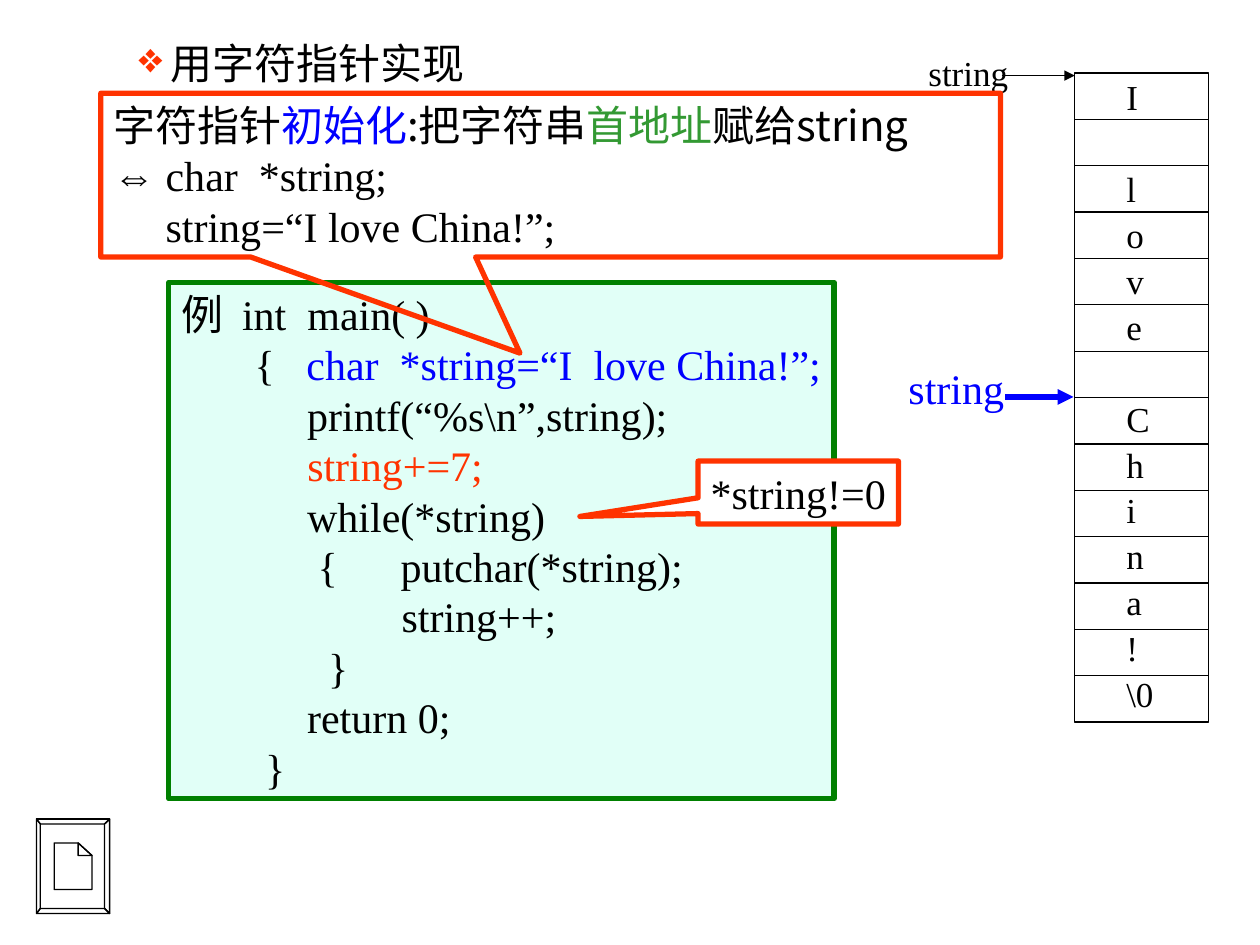
from pptx import Presentation
from pptx.dml.color import RGBColor
from pptx.enum.shapes import MSO_CONNECTOR as Connector, MSO_SHAPE as Shape
from pptx.enum.text import MSO_ANCHOR as Anchor, MSO_AUTO_SIZE as AutoSize, PP_ALIGN as Align
from pptx.oxml.ns import qn
from pptx.util import Inches, Pt
from lxml.etree import SubElement

SERIF = "Times New Roman"
SANS = "Noto Sans CJK SC"
BLACK, WHITE, BLUE, RED = "000000", "FFFFFF", "0000FF", "FF3300"
GREEN, DARK_GREEN, MINT = "339933", "008000", "E1FFF7"

CODE = [
    [("例  int  main( )", BLACK)],
    [("       {   ", BLACK), ("char  *string=“I  love China!”;", BLUE)],
    [("            printf(“%s\\n”,string);", BLACK)],
    [("            ", BLACK), ("string+=7;", RED)],
    [("            while(*string)", BLACK)],
    [("             {      putchar(*string);", BLACK)],
    [("                     string++;", BLACK)],
    [("              }", BLACK)],
    [("            return 0;", BLACK)],
    [("        }", BLACK)],
]
EXPLANATION = [
    [("字符指针", BLACK, SANS), ("初始化", BLUE, SANS), (":把字符串", BLACK, SANS),
     ("首地址", GREEN, SANS), ("赋给string", BLACK, SANS)],
    [("⇔", BLACK, "Arial"), (" char  *string;", BLACK)],
    [("     string=“I love China!”;", BLACK)],
]
CELLS = list("I love China!") + ["\\0"]


def color(value):
    return RGBColor.from_string(value)


def inches(*values):
    return [Inches(value) for value in values]


def write(shape, lines, size=24, align=Align.LEFT, anchor=Anchor.TOP, wrap=False):
    frame = shape.text_frame
    frame.auto_size = AutoSize.NONE
    frame.word_wrap = wrap
    frame.vertical_anchor = anchor
    for index, line in enumerate(lines):
        para = frame.add_paragraph() if index else frame.paragraphs[0]
        para.alignment = align
        for text, ink, *font in line:
            span = para.add_run()
            span.text = text
            span.font.size = Pt(size)
            span.font.name = font[0] if font else SERIF
            span.font.color.rgb = color(ink)


def paint(shape, fill, line, width):
    shape.shadow.inherit = False
    if fill:
        shape.fill.solid()
        shape.fill.fore_color.rgb = color(fill)
    else:
        shape.fill.background()
    shape.line.color.rgb = color(line)
    shape.line.width = Pt(width)


def add_box(page, kind, place, fill, line, width, adjust=()):
    box = page.shapes.add_shape(kind, *inches(*place))
    paint(box, fill, line, width)
    for index, value in enumerate(adjust):
        box.adjustments[index] = value
    return box


def add_label(page, place, text, size=20, ink=BLACK, **layout):
    label = page.shapes.add_textbox(*inches(*place))
    write(label, [[(text, ink)]], size, **layout)


def add_line(page, start, end, ink=BLACK, width=0.75, arrow=False):
    line = page.shapes.add_connector(Connector.STRAIGHT, *inches(*start, *end))
    line.line.color.rgb = color(ink)
    line.line.width = Pt(width)
    if arrow:
        SubElement(line.line._get_or_add_ln(), qn("a:tailEnd"), type="triangle")
    SubElement(line._element.spPr, qn("a:effectLst"))


def add_heading(page, text):
    title = page.shapes.title
    title.left, title.top, title.width, title.height = inches(0, 0.25, 9.41, 0.59)
    props = title.text_frame.paragraphs[0]._p.get_or_add_pPr()
    props.set("marL", str(Inches(1.25)))
    props.set("indent", str(Inches(-0.25)))
    bullet_color = SubElement(props, qn("a:buClr"))
    SubElement(bullet_color, qn("a:srgbClr"), val=RED)
    SubElement(props, qn("a:buChar"), char="❖")
    write(title, [[(text, BLACK)]], wrap=True)


def corners(left, top, right, bottom):
    return [(left, top), (right, top), (right, bottom), (left, bottom)]


def add_document_button(page):
    outer = corners(0.29, 6.5, 0.87, 7.25)
    inner = corners(0.32, 6.54, 0.83, 7.21)
    fold = [(0.62, 6.69), (0.73, 6.79), (0.62, 6.79)]
    sheet = [(0.43, 6.69), *fold[:2], (0.73, 7.06), (0.43, 7.06)]
    bevels = [[outer[side - 1], outer[side], inner[side], inner[side - 1]] for side in range(4)]
    builder = page.shapes.build_freeform(*inches(*outer[0]))
    for index, outline in enumerate([outer, *bevels, sheet, fold]):
        first, *others = [inches(*point) for point in outline]
        if index:
            builder.move_to(*first)
        builder.add_line_segments(others, close=True)
    paint(builder.convert_to_shape(), WHITE, BLACK, 0.75)


def add_memory(page):
    left, top, width, height = 8.53, 0.58, 1.06, 5.15
    row = height / len(CELLS)
    add_box(page, Shape.RECTANGLE, (left, top, width, height), None, BLACK, 0.75)
    for index, letter in enumerate(CELLS):
        if index:
            y = top + index * row
            add_line(page, (left, y), (left + width, y))
        if letter.strip():
            add_label(page, (8.84, 0.55 + index * 0.3646, 0.41, 0.44), letter)


def main():
    deck = Presentation()
    deck.slide_width, deck.slide_height = inches(10, 7.5)
    page = deck.slides.add_slide(deck.slide_layouts[5])

    add_heading(page, "用字符指针实现")
    code = add_box(page, Shape.RECTANGLE, (1.34, 2.24, 5.28, 4.1), MINT, DARK_GREEN, 3)
    write(code, CODE)
    add_document_button(page)
    add_memory(page)
    add_line(page, (7.95, 0.6), (8.53, 0.6), arrow=True)
    add_label(page, (7.27, 0.36, 0.83, 0.44), "string")

    explanation = add_box(page, Shape.RECTANGULAR_CALLOUT, (0.8, 0.74, 7.14, 1.3),
                          None, RED, 3, (-0.034, 1.087))
    write(explanation, EXPLANATION, anchor=Anchor.MIDDLE, wrap=True)
    add_line(page, (7.98, 3.15), (8.52, 3.15), BLUE, 3, arrow=True)
    add_label(page, (7.11, 2.83, 0.96, 0.5), "string", 24, BLUE,
              align=Align.CENTER, anchor=Anchor.MIDDLE)
    condition = add_box(page, Shape.RECTANGULAR_CALLOUT, (5.54, 3.66, 1.59, 0.5),
                        WHITE, RED, 3, (-1.09, 0.379))
    write(condition, [[("*string!=0", BLACK)]], align=Align.CENTER, anchor=Anchor.MIDDLE)
    deck.save("out.pptx")


if __name__ == "__main__":
    main()
